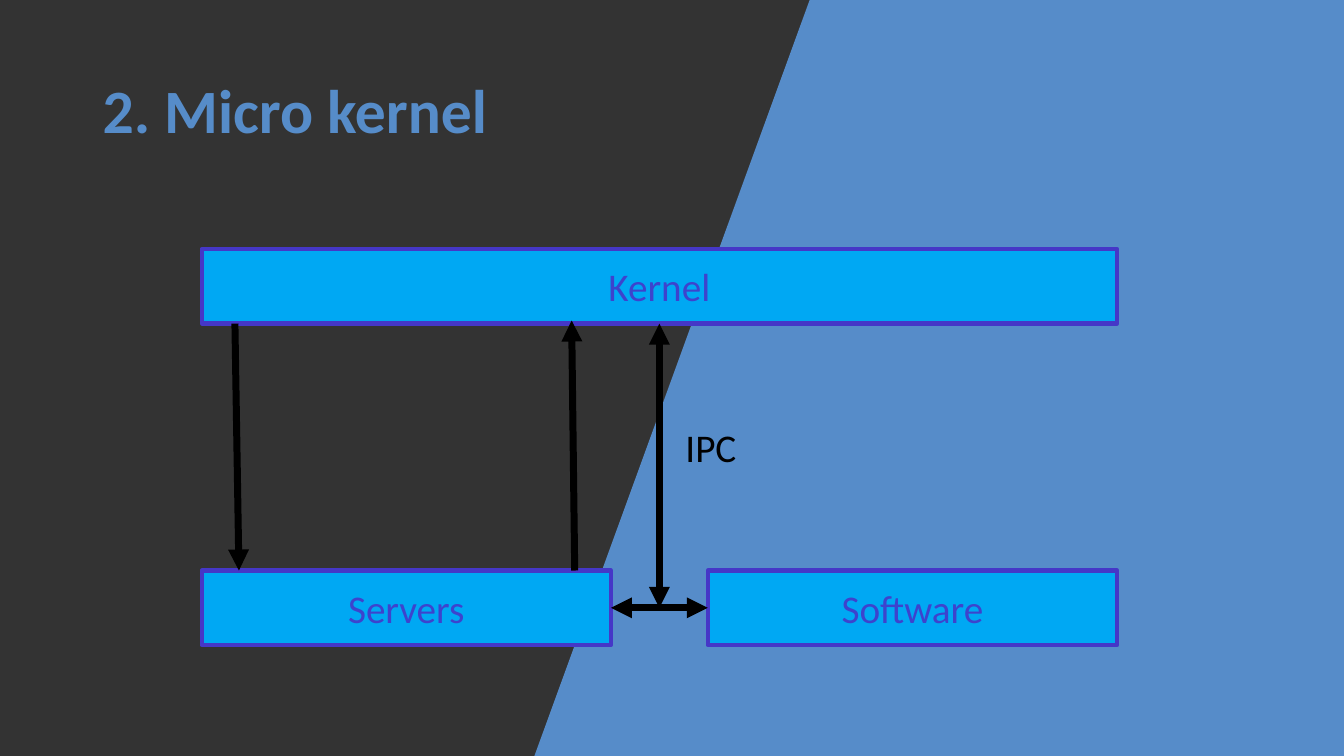
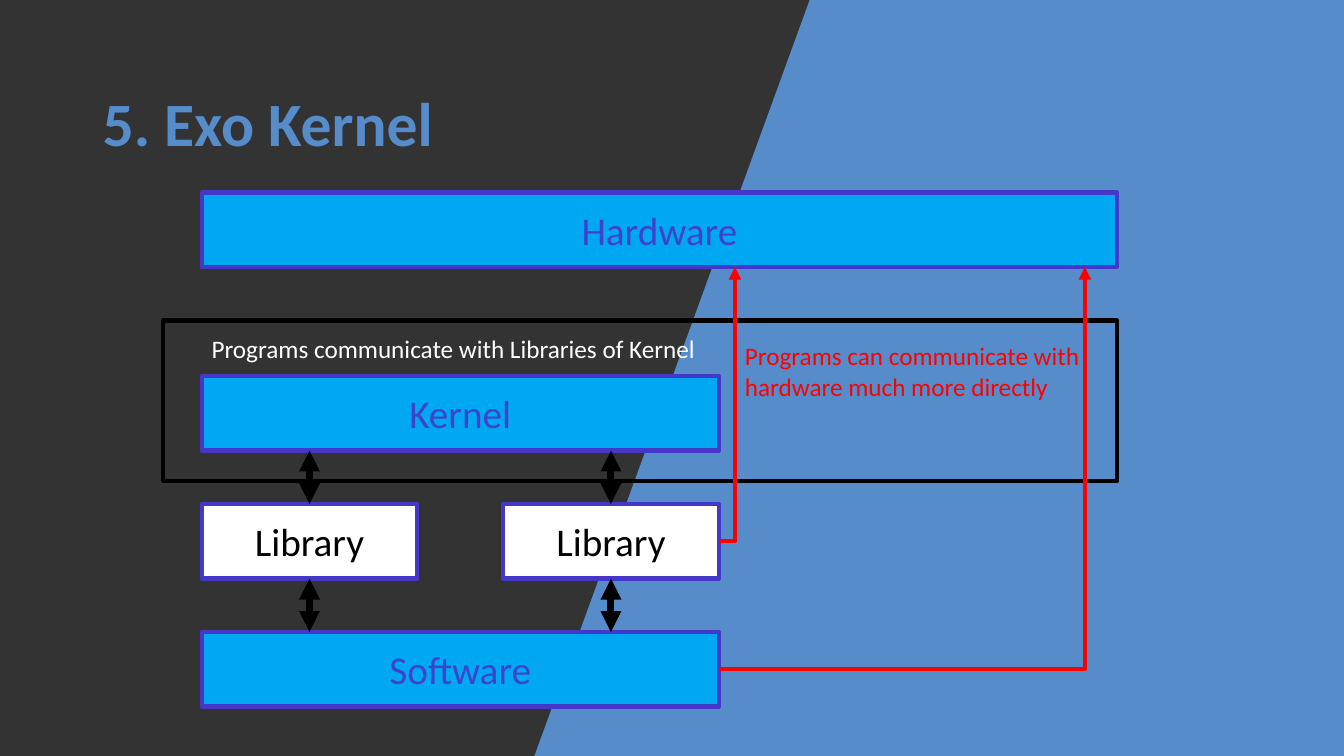
from lxml import etree
from pptx import Presentation
from pptx import util as u
from pptx.dml.color import RGBColor
from pptx.enum import shapes, text
from pptx.oxml import ns

DARK = RGBColor(0x33, 0x33, 0x33)
BLUE = RGBColor(0x56, 0x8C, 0xC9)
SKY = RGBColor(0x00, 0xA8, 0xF3)
EDGE = RGBColor(0x45, 0x37, 0xC7)
INK = RGBColor(0x3D, 0x43, 0xCD)
BLACK = RGBColor(0, 0, 0)
WHITE = RGBColor(0xFF, 0xFF, 0xFF)
RED = RGBColor(0xFF, 0, 0)

FONT = "Calibri"
WIDE, HIGH = 13.33, 7.5
LEFT, RIGHT = 2, 11.08
FULL = RIGHT - LEFT
BAR = 0.74


def paint(prs):
    fill = prs.slide_master.background.fill
    fill.gradient()
    fill.gradient_angle = 340
    for stop, color in zip(fill.gradient_stops, (DARK, BLUE)):
        stop.position = 0.5
        stop.color.rgb = color


def write(frame, words, size, color, bold=False):
    frame.word_wrap = True
    par = frame.paragraphs[0]
    run = par.add_run()
    run.text = words
    run.font.name = FONT
    run.font.size = u.Pt(size)
    run.font.bold = bold
    run.font.color.rgb = color
    return par


def label(slide, words, x, y, w, h, size, color, bold=False):
    box = slide.shapes.add_textbox(*map(u.Inches, (x, y, w, h)))
    return box.text_frame, write(box.text_frame, words, size, color, bold)


def title(slide, words, y):
    frame, par = label(slide, words, 0.92, y, 11.5, 1.45, 44, BLUE, True)
    frame.vertical_anchor = text.MSO_ANCHOR.MIDDLE
    par.line_spacing = 0.9


def frame(slide, x, y, w, h, edge):
    box = slide.shapes.add_shape(
        shapes.MSO_SHAPE.RECTANGLE, *map(u.Inches, (x, y, w, h)))
    box.shadow.inherit = False
    box.fill.background()
    box.line.color.rgb = edge
    box.line.width = u.Pt(3)
    return box


def block(slide, words, x, y, w, fill=SKY, ink=INK):
    box = frame(slide, x, y, w, BAR, EDGE)
    box.fill.solid()
    box.fill.fore_color.rgb = fill
    box.text_frame.vertical_anchor = text.MSO_ANCHOR.MIDDLE
    par = write(box.text_frame, words, 28, ink)
    par.alignment = text.PP_ALIGN.CENTER


def link(slide, start, end, color=BLACK, width=5, both=False, bent=False):
    kind = shapes.MSO_CONNECTOR.ELBOW if bent else shapes.MSO_CONNECTOR.STRAIGHT
    line = slide.shapes.add_connector(kind, *map(u.Inches, (*start, *end)))
    line.line.color.rgb = color
    line.line.width = u.Pt(width)
    props = line._element.spPr
    if bent:
        props.find(ns.qn("a:prstGeom")).set("prst", "bentConnector2")
    edge = props.find(ns.qn("a:ln"))
    for tip in ("a:headEnd", "a:tailEnd") if both else ("a:tailEnd",):
        etree.SubElement(edge, ns.qn(tip)).set("type", "triangle")
    etree.SubElement(props, ns.qn("a:effectLst"))


def micro(slide):
    top, low, half = 2.47, 5.66, 4.06
    base, mid = top + BAR, low + BAR / 2
    inner, outer = LEFT + half, RIGHT - half
    center = (LEFT + RIGHT) / 2
    title(slide, "2. Micro kernel", 0.4)
    block(slide, "Kernel", LEFT, top, FULL)
    block(slide, "Servers", LEFT, low, half)
    block(slide, "Software", outer, low, half)
    link(slide, (outer, mid), (inner, mid), both=True)
    link(slide, (center, base), (center, mid), both=True)
    link(slide, (2.33, base), (2.37, low))
    link(slide, (5.7, low), (5.67, 3.18))
    label(slide, "IPC", 6.7, 4.15, 0.93, 0.57, 28, BLACK)


def exo(slide):
    top, step, span, part = 1.91, 1.27, 5.13, 2.14
    rows = [3.73 + step * n for n in range(3)]
    side = LEFT + span
    cols = (LEFT, side - part)
    title(slide, "5. Exo Kernel", 0.53)
    block(slide, "Hardware", LEFT, top, FULL)
    block(slide, "Kernel", LEFT, rows[0], span)
    block(slide, "Software", LEFT, rows[2], span)
    for x in cols:
        block(slide, "Library", x, rows[1], part, WHITE, BLACK)
        mid = x + part / 2
        for upper, lower in zip(rows, rows[1:]):
            link(slide, (mid, upper + BAR), (mid, lower), both=True)
    frame(slide, 1.62, 3.18, 9.46, 1.59, BLACK)
    label(slide, "Programs communicate with Libraries of Kernel",
          LEFT, 3.26, 5.78, 0.4, 18, WHITE)
    label(slide, "Programs can communicate with hardware much more directly",
          7.29, 3.33, 3.79, 0.71, 18, RED)
    for y, x in zip(rows[1:], (7.29, 10.76)):
        link(slide, (side, y + BAR / 2), (x, top + BAR), RED, 3, bent=True)


def main():
    prs = Presentation()
    prs.slide_width, prs.slide_height = u.Inches(WIDE), u.Inches(HIGH)
    paint(prs)
    for build in (micro, exo):
        build(prs.slides.add_slide(prs.slide_layouts[6]))
    prs.save("out.pptx")


if __name__ == "__main__":
    main()
